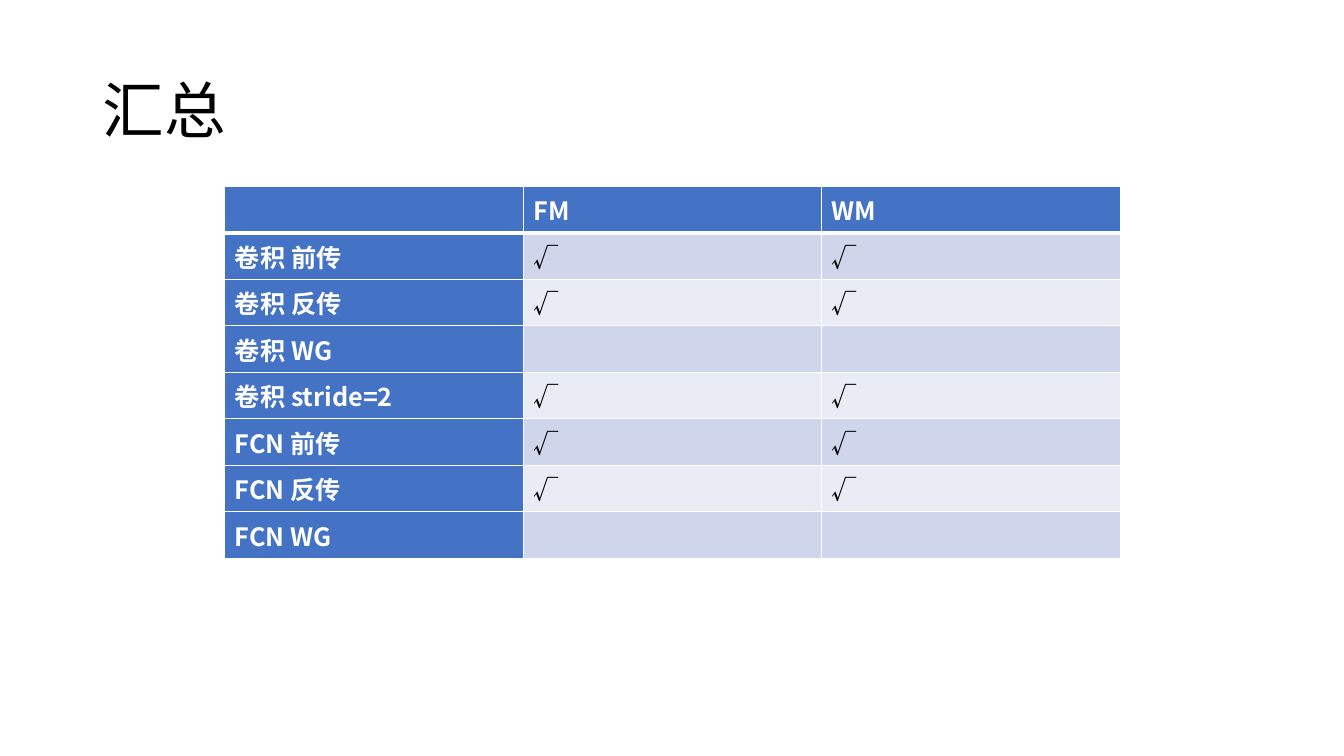
"""Build the summary slide: a title and a table of checked operations."""
from lxml.etree import SubElement
from pptx import Presentation
from pptx.dml.color import RGBColor
from pptx.enum.text import MSO_ANCHOR
from pptx.oxml.ns import qn
from pptx.util import Inches, Pt

FONT = "Noto Sans CJK SC"
WHITE, BLACK, BLUE = "FFFFFF", "000000", "4472C4"
BANDS = ["CFD5EA", "E9EBF5"]


def style(p, size, color, bold=False):
    for r in p.runs:
        r.font.name, r.font.size, r.font.bold = FONT, Pt(size), bold
        r.font.color.rgb = RGBColor.from_string(color)
        SubElement(r.font._element, qn("a:ea"), typeface=FONT)


def border(cell, side, width):
    ln = SubElement(cell._tc.get_or_add_tcPr(), qn(f"a:ln{side}"), w=str(Pt(width)))
    SubElement(SubElement(ln, qn("a:solidFill")), qn("a:srgbClr"), val=WHITE)


prs = Presentation()
prs.slide_width, prs.slide_height = Inches(13.33), Inches(7.5)
s = prs.slides.add_slide(prs.slide_layouts[6])

title = s.shapes.add_textbox(Inches(0.92), Inches(0.4), Inches(11.5), Inches(1.45))
tf = title.text_frame
tf.word_wrap = True
tf.vertical_anchor = MSO_ANCHOR.MIDDLE
p = tf.paragraphs[0]
p.text = "汇总"
p.line_spacing = 0.9
style(p, 44, BLACK)

rows = [
    ("", "FM", "WM"),
    ("卷积 前传", "√", "√"),
    ("卷积 反传", "√", "√"),
    ("卷积 WG", "", ""),
    ("卷积 stride=2", "√", "√"),
    ("FCN 前传", "√", "√"),
    ("FCN 反传", "√", "√"),
    ("FCN WG", "", ""),
]
table = s.shapes.add_table(len(rows), 3, Inches(2.23), Inches(1.85),
                           Inches(8.88), Inches(3.69)).table
for i, row in enumerate(rows):
    for j, text in enumerate(row):
        cell = table.cell(i, j)
        head = i == 0 or j == 0
        for side in "LRTB":
            border(cell, side, 3 if (i, side) in [(0, "B"), (1, "T")] else 1)
        cell.fill.solid()
        cell.fill.fore_color.rgb = RGBColor.from_string(BLUE if head else BANDS[(i - 1) % 2])
        p = cell.text_frame.paragraphs[0]
        p.text = text
        style(p, 18, WHITE if head else BLACK, head)

prs.save("out.pptx")
